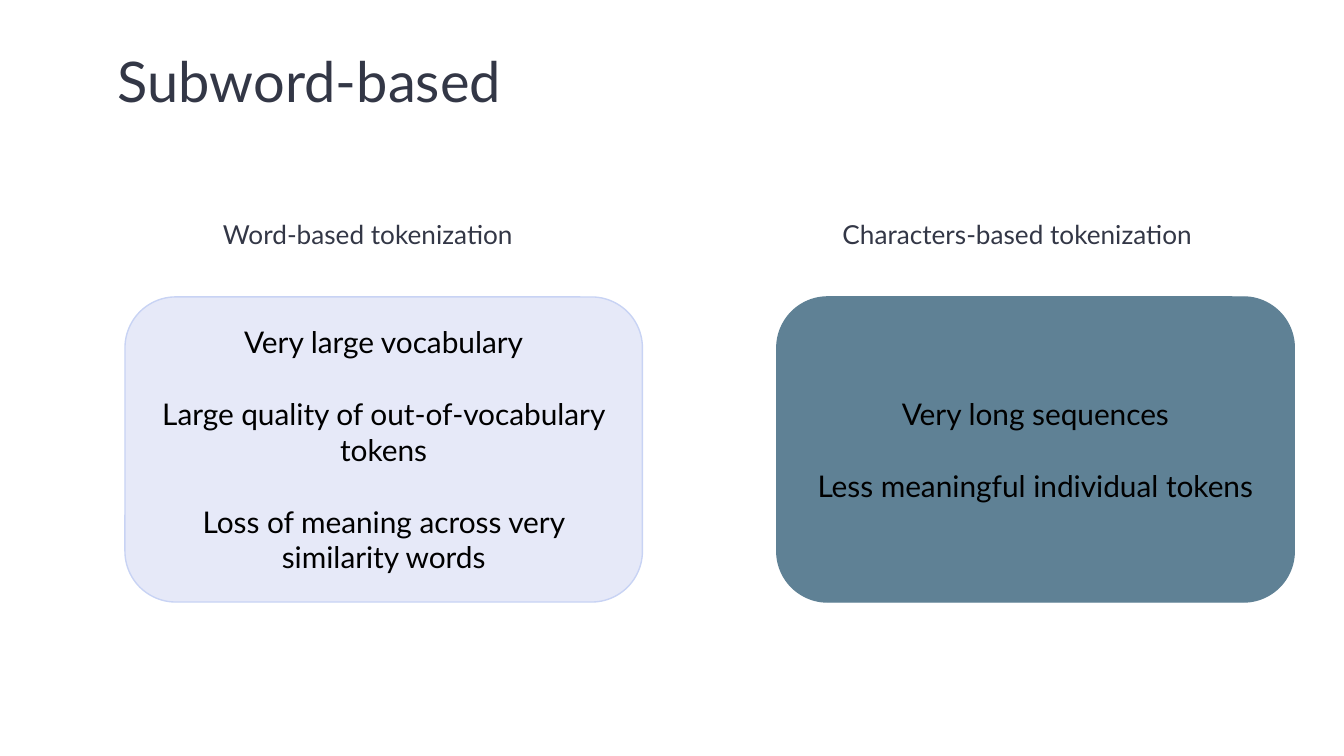
import pptx
import pptx.util
import pptx.dml.color
import pptx.enum.shapes
import pptx.enum.text

WIDTH = 10
HEIGHT = WIDTH * 9 / 16
COLORS = {
    "ink": "333746",
    "body": "000000",
    "lavender": "E6E9F8",
    "periwinkle": "C8D3F4",
    "slate": "5F8195",
}
CARD_LEFT, CARD_STEP = 0.93, 4.85
CARD_TOP, CARD_WIDTH, CARD_HEIGHT = 2.21, 3.85, 2.27
HEADING_TOP, HEADING_HEIGHT = 1.49, 0.43
COLUMNS = [
    ("Word-based tokenization", 1.56, 2.58, "lavender", "periwinkle",
     ["Very large vocabulary",
      "Large quality of out-of-vocabulary tokens",
      "Loss of meaning across very similarity words"]),
    ("Characters-based tokenization", 6.17, 3.07, "slate", "slate",
     ["Very long sequences", "Less meaningful individual tokens"]),
]


def color(name):
    """Return the named colour."""
    return pptx.dml.color.RGBColor.from_string(COLORS[name])


def inches(*lengths):
    """Convert lengths in inches to slide units."""
    return [pptx.util.Inches(length) for length in lengths]


def prepare_frame(frame, anchor):
    """Set wrapping, margins and anchor of a text frame."""
    frame.word_wrap = True
    frame.vertical_anchor = anchor
    frame.margin_left = frame.margin_right = pptx.util.Inches(0.1)
    frame.margin_top = frame.margin_bottom = pptx.util.Inches(0.1)


def add_run(paragraph, text, size, ink):
    """Add one run of Lato text."""
    run = paragraph.add_run()
    run.text = text
    run.font.name = "Lato"
    run.font.size = pptx.util.Pt(size)
    run.font.color.rgb = color(ink)


def add_heading(slide, text, box, size):
    """Add a left-aligned heading of one line."""
    heading = slide.shapes.add_textbox(*inches(*box)).text_frame
    prepare_frame(heading, pptx.enum.text.MSO_ANCHOR.TOP)
    heading.paragraphs[0].line_spacing = 1.15
    add_run(heading.paragraphs[0], text, size, "ink")


def add_card(slide, column, fill, border, drawbacks):
    """Add a rounded card listing the drawbacks of one method."""
    card = slide.shapes.add_shape(
        pptx.enum.shapes.MSO_SHAPE.ROUNDED_RECTANGLE,
        *inches(CARD_LEFT + column * CARD_STEP, CARD_TOP, CARD_WIDTH, CARD_HEIGHT))
    card.shadow.inherit = False
    card.adjustments[0] = 1 / 6
    card.fill.solid()
    card.fill.fore_color.rgb = color(fill)
    card.line.color.rgb = color(border)
    card.line.width = pptx.util.Pt(0.75)
    frame = card.text_frame
    prepare_frame(frame, pptx.enum.text.MSO_ANCHOR.MIDDLE)
    for index, drawback in enumerate(drawbacks):
        paragraph = frame.add_paragraph() if index else frame.paragraphs[0]
        paragraph.alignment = pptx.enum.text.PP_ALIGN.CENTER
        if index:
            paragraph.space_before = pptx.util.Pt(19.2)
        add_run(paragraph, drawback, 16, "body")


def main():
    """Build and save the slide."""
    deck = pptx.Presentation()
    deck.slide_width, deck.slide_height = inches(WIDTH, HEIGHT)
    slide = deck.slides.add_slide(deck.slide_layouts[6])
    add_heading(slide, "Subword-based", (0.78, 0.17, 8.3, 0.77), 30)
    for column, (_, _, _, fill, border, drawbacks) in enumerate(COLUMNS):
        add_card(slide, column, fill, border, drawbacks)
    for method, left, width, *_ in COLUMNS:
        add_heading(slide, method, (left, HEADING_TOP, width, HEADING_HEIGHT), 14)
    deck.save("out.pptx")


if __name__ == "__main__":
    main()
